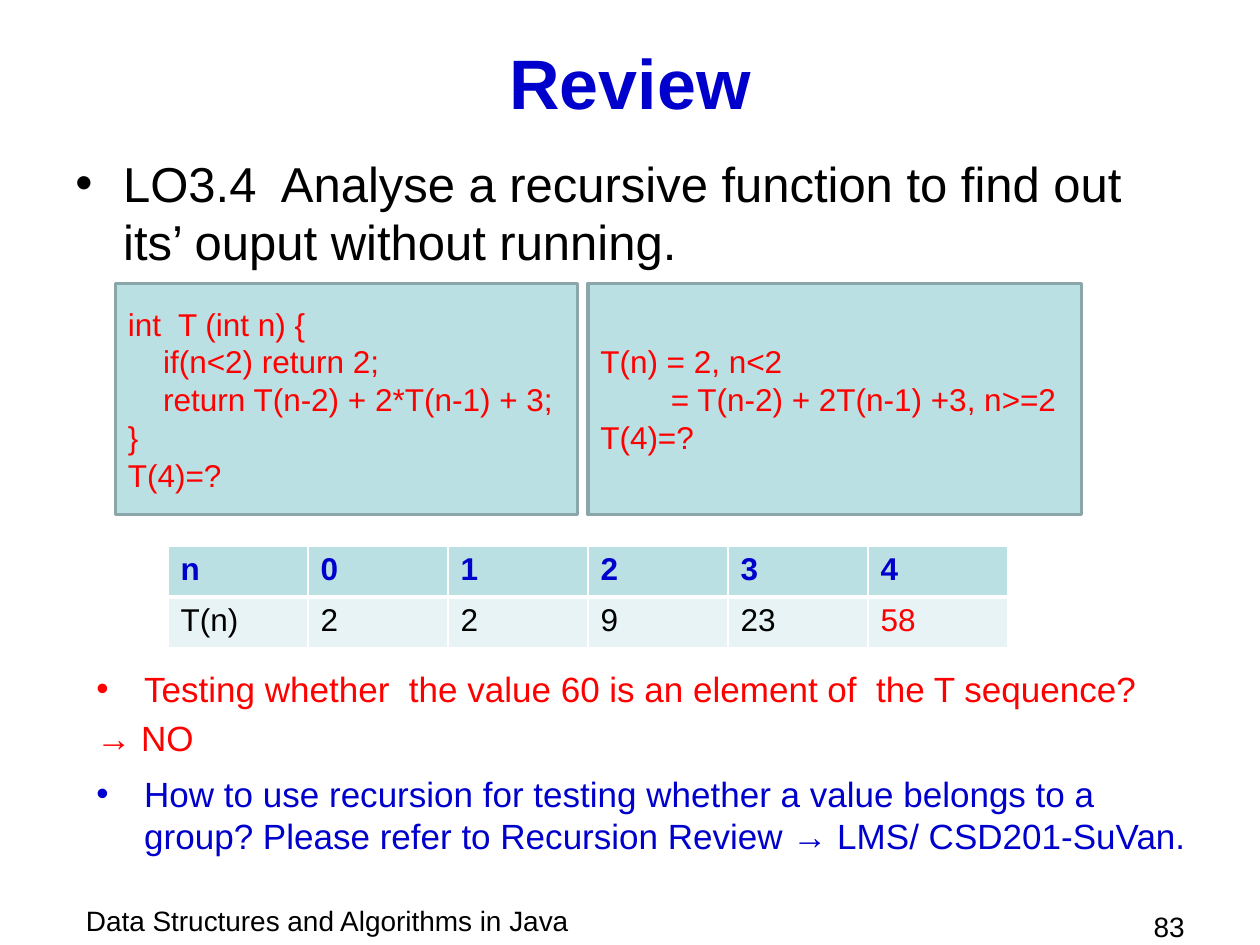
from lxml import etree
from pptx import Presentation
from pptx import util as u
from pptx.dml.color import RGBColor
from pptx.enum import shapes, text
from pptx.oxml.ns import qn

BLACK, RED, BLUE, WHITE = "000000", "FF0000", "0000CC", "FFFFFF"
TEAL, PALE_TEAL, OUTLINE = "BBE0E3", "E7F3F4", "8AA6A8"
COLUMNS, ROWS = 120, 90

presentation = Presentation()
presentation.slide_width, presentation.slide_height = u.Inches(10), u.Inches(7.5)
slide = presentation.slides.add_slide(presentation.slide_layouts[6])
column = presentation.slide_width / COLUMNS
row = presentation.slide_height / ROWS


def place(left, top, width, height):
    """Turn grid columns and rows into lengths."""
    return [u.Emu(round(n * step)) for n, step in
            ((left, column), (top, row), (width, column), (height, row))]


def write(frame, lines, size, color, bold=False, align=text.PP_ALIGN.LEFT,
          anchor=text.MSO_ANCHOR.TOP, before=0):
    """Fill a text frame; each line is (text, left margin, first-line indent, bullet)."""
    frame.word_wrap = True
    frame.vertical_anchor = anchor
    for index, (words, margin, indent, bullet) in enumerate(lines):
        paragraph = frame.paragraphs[0] if index == 0 else frame.add_paragraph()
        paragraph.text = words
        paragraph.alignment = align
        paragraph.space_before = u.Pt(before)
        font = paragraph.runs[0].font
        font.name, font.size, font.bold = "Arial", u.Pt(size), bold
        font.color.rgb = RGBColor.from_string(color)
        properties = paragraph._p.get_or_add_pPr()
        properties.set("marL", str(u.Inches(margin)))
        properties.set("indent", str(u.Inches(indent)))
        if bullet:
            etree.SubElement(properties, qn("a:buFont"), typeface="Arial")
            etree.SubElement(properties, qn("a:buChar"), char="•")


# Title, footer and bulleted text
LEFT, CENTER, RIGHT = text.PP_ALIGN.LEFT, text.PP_ALIGN.CENTER, text.PP_ALIGN.RIGHT
TOP, MIDDLE = text.MSO_ANCHOR.TOP, text.MSO_ANCHOR.MIDDLE
HANG = (0.38, -0.38)
text_boxes = [
    ((7, 85.5, 68, 4.5), [("Data Structures and Algorithms in Java", 0, 0, False)],
     16, BLACK, False, LEFT, TOP, 8),
    ((102, 86, 12, 4), [("83", 0, 0, False)], 16, BLACK, False, RIGHT, TOP, 0),
    ((6, 3.6, 108, 8.4), [("Review", 0, 0, False)], 40, BLUE, True, CENTER, MIDDLE, 0),
    ((6, 14, 108, 12),
     [("LO3.4  Analyse a recursive function to find out its’ ouput without running.",
       *HANG, True)], 28, BLACK, False, LEFT, TOP, 5.6),
    ((8, 63, 108, 7),
     [("Testing whether  the value 60 is an element of  the T sequence?", *HANG, True),
      ("→ NO", *HANG, False)], 20, RED, False, LEFT, TOP, 4),
    ((8, 73, 108, 10),
     [("How to use recursion for testing whether a value belongs to a group? "
       "Please refer to Recursion Review → LMS/ CSD201-SuVan.", *HANG, True)],
     20, BLUE, False, LEFT, TOP, 4),
]
for area, *content in text_boxes:
    write(slide.shapes.add_textbox(*place(*area)).text_frame, *content)

# Function as code and as recurrence
panels = [
    (11, 44, [("int  T (int n) {", 0), ("if(n<2) return 2;", 0.28),
              ("return T(n-2) + 2*T(n-1) + 3;", 0.28), ("}", 0), ("T(4)=?", 0)]),
    (56, 47, [("T(n) = 2, n<2", 0), ("= T(n-2) + 2T(n-1) +3, n>=2", 0.56),
              ("T(4)=?", 0)]),
]
for left, width, lines in panels:
    panel = slide.shapes.add_shape(shapes.MSO_SHAPE.RECTANGLE, *place(left, 27, width, 22))
    panel.shadow.inherit = False
    panel.fill.solid()
    panel.fill.fore_color.rgb = RGBColor.from_string(TEAL)
    panel.line.color.rgb = RGBColor.from_string(OUTLINE)
    panel.line.width = u.Pt(2)
    write(panel.text_frame, [(words, margin, 0, False) for words, margin in lines],
          18, RED, anchor=MIDDLE)

# Values of the sequence
values = [["n", "0", "1", "2", "3", "4"], ["T(n)", "2", "2", "9", "23", "58"]]
table = slide.shapes.add_table(2, 6, *place(16, 52, 80, 9.72)).table
for r, entries in enumerate(values):
    header = r == 0
    for c, entry in enumerate(entries):
        cell = table.cell(r, c)
        color = BLUE if header else RED if entry == "58" else BLACK
        write(cell.text_frame, [(entry, 0, 0, False)], 18, color, bold=header)
        properties = cell._tc.get_or_add_tcPr()
        for side in ("lnL", "lnR", "lnT", "lnB"):
            heavy = side == ("lnB" if header else "lnT")
            border = etree.SubElement(properties, qn("a:" + side),
                                      w=str(u.Pt(3 if heavy else 1)))
            fill = etree.SubElement(border, qn("a:solidFill"))
            etree.SubElement(fill, qn("a:srgbClr"), val=WHITE)
        cell.fill.solid()
        cell.fill.fore_color.rgb = RGBColor.from_string(TEAL if header else PALE_TEAL)

presentation.save("out.pptx")
